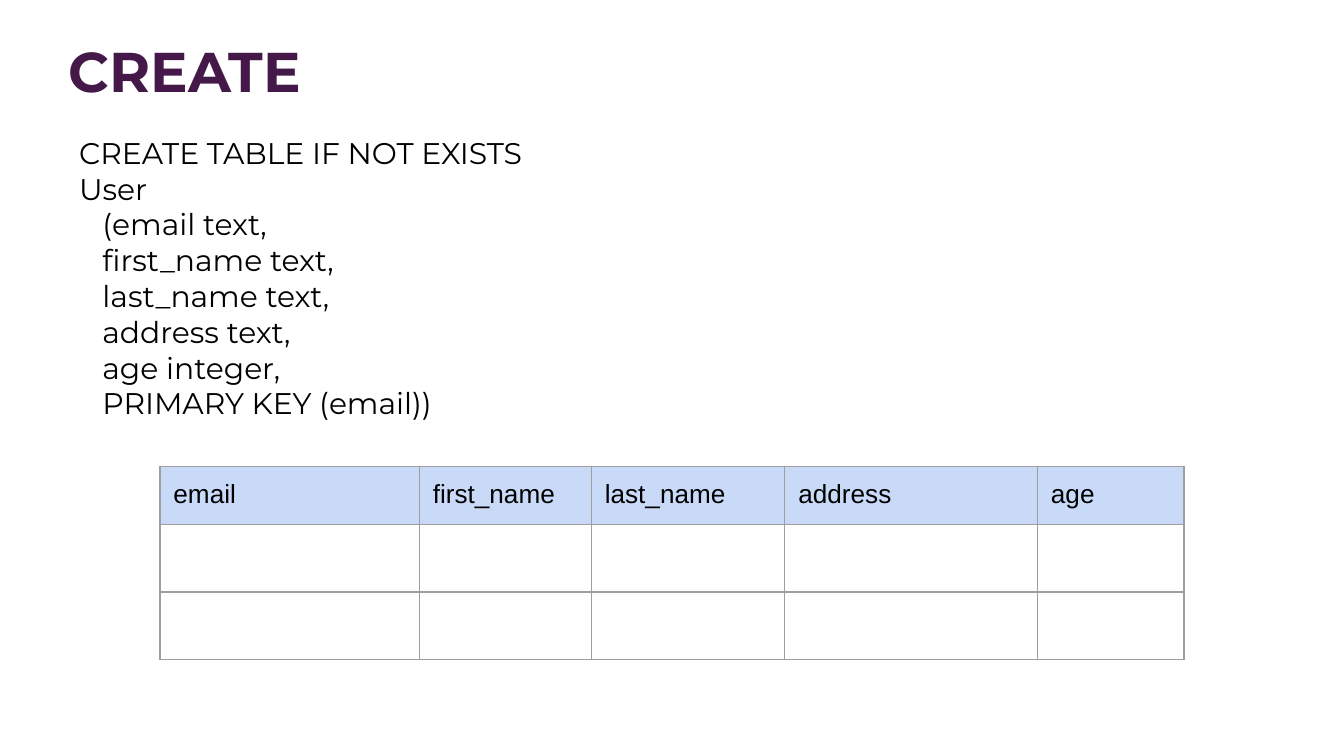
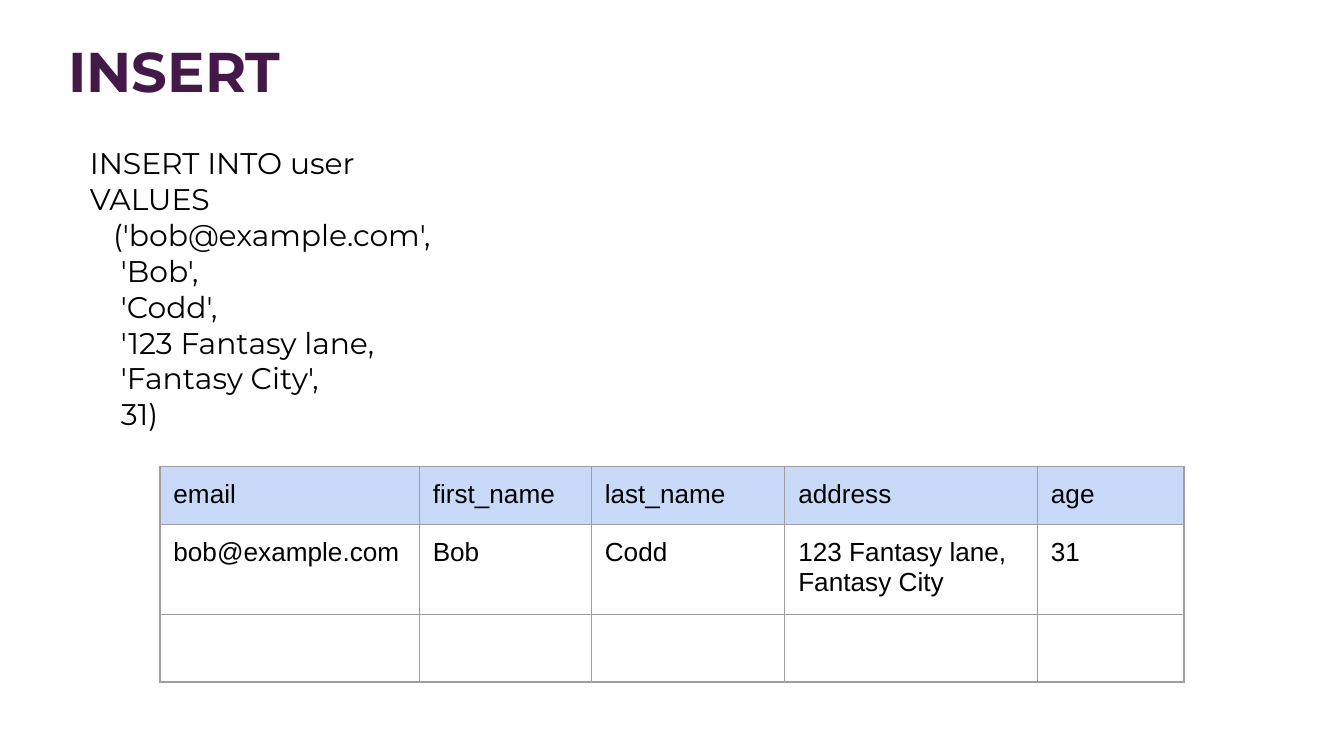
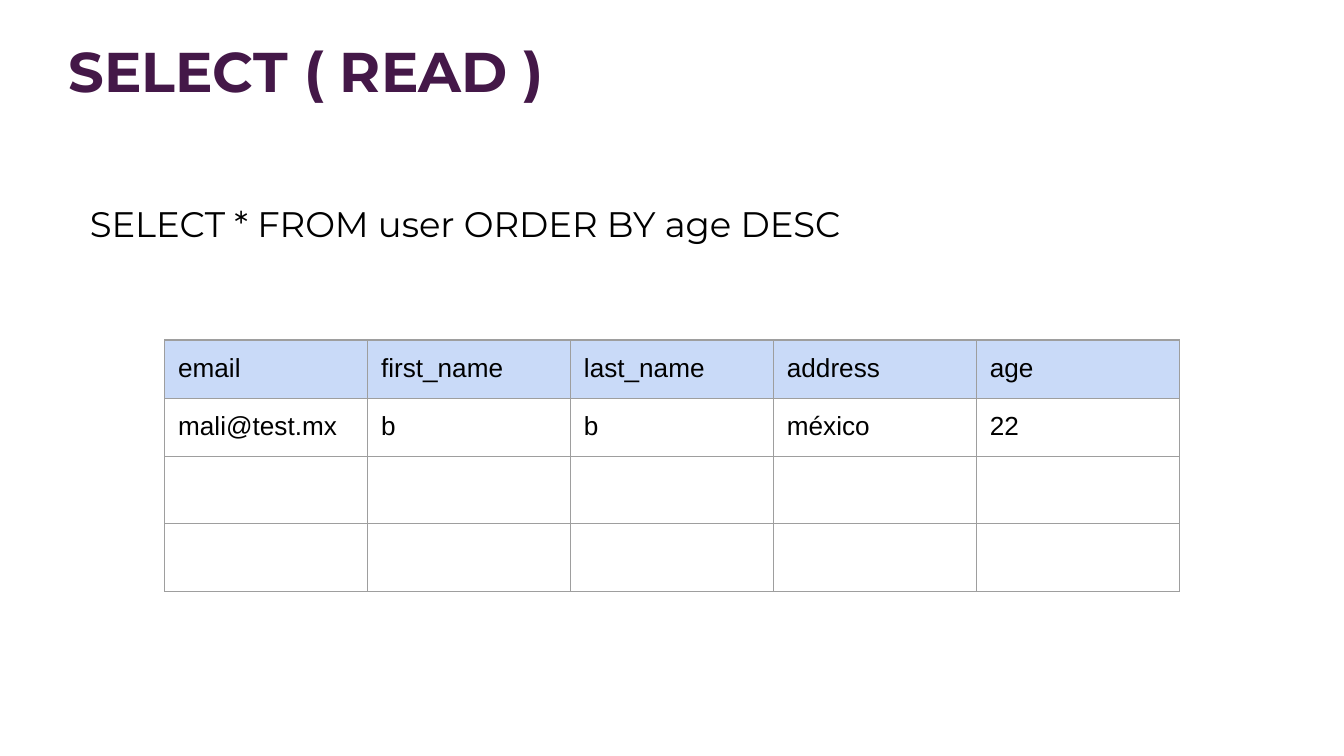
from dataclasses import dataclass

from lxml.etree import SubElement
from pptx import Presentation
from pptx.dml.color import RGBColor
from pptx.enum.text import MSO_ANCHOR, MSO_AUTO_SIZE
from pptx.oxml.ns import qn
from pptx.util import Inches, Pt


@dataclass(frozen=True)
class Theme:
    width: float = 10
    height: float = 10 * 9 / 16
    heading_font: str = "Montserrat"
    table_font: str = "Arial"
    heading_size: int = 30
    table_size: int = 14
    heading_color: str = "441848"
    text_color: str = "000000"
    header_fill: str = "C9DAF8"
    border_color: str = "9E9E9E"
    border_width: float = 0.75
    inset: float = 0.1
    filled_row: float = 0.43
    extra_line: float = 0.24
    empty_row: float = 0.5


THEME = Theme()
HEADING_BOX = (0.41, 0.17, 9.38, 0.59)
FIELDS = ["email", "first_name", "last_name", "address", "age"]
FITTED_COLUMNS = [1.93, 1.28, 1.44, 1.88, 1.09]
EQUAL_COLUMNS = [1.51] * len(FIELDS)
EMPTY = [""] * len(FIELDS)

LESSONS = [
    {
        "heading": "CREATE",
        "statement": [
            "CREATE TABLE IF NOT EXISTS",
            "User",
            "   (email text,",
            "   first_name text,",
            "   last_name text,",
            "   address text,",
            "   age integer,",
            "   PRIMARY KEY (email))",
        ],
        "statement_box": (0.49, 0.9, 4.78, 2.36),
        "statement_size": 16,
        "records": [EMPTY, EMPTY],
        "columns": FITTED_COLUMNS,
        "table_top": 3.47,
    },
    {
        "heading": "INSERT",
        "statement": [
            "INSERT INTO user",
            "VALUES",
            "   ('bob@example.com',",
            "    'Bob',",
            "    'Codd',",
            "    '123 Fantasy lane,",
            "    'Fantasy City',",
            "    31)",
        ],
        "statement_box": (0.57, 0.98, 3.94, 2.36),
        "statement_size": 16,
        "records": [
            ["bob@example.com", "Bob", "Codd", "123 Fantasy lane,\nFantasy City", "31"],
            EMPTY,
        ],
        "columns": FITTED_COLUMNS,
        "table_top": 3.47,
    },
    {
        "heading": "SELECT ( READ )",
        "statement": ["SELECT * FROM user ORDER BY age DESC"],
        "statement_box": (0.57, 1.4, 7.95, 0.52),
        "statement_size": 19,
        "records": [["mali@test.mx", "b", "b", "méxico", "22"], EMPTY, EMPTY],
        "columns": EQUAL_COLUMNS,
        "table_top": 2.53,
    },
]


def write_lines(frame, lines, font, size, color, bold=False):
    for index, line in enumerate(lines):
        paragraph = frame.paragraphs[0] if index == 0 else frame.add_paragraph()
        run = paragraph.add_run()
        run.text = line
        run.font.name = font
        run.font.size = Pt(size)
        run.font.bold = bold
        run.font.color.rgb = RGBColor.from_string(color)


def add_text(slide, box, lines, size, color, bold=False, grow=False):
    frame = slide.shapes.add_textbox(*map(Inches, box)).text_frame
    frame.word_wrap = True
    frame.auto_size = MSO_AUTO_SIZE.SHAPE_TO_FIT_TEXT if grow else MSO_AUTO_SIZE.NONE
    frame.vertical_anchor = MSO_ANCHOR.TOP
    frame.margin_left = frame.margin_right = Inches(THEME.inset)
    frame.margin_top = frame.margin_bottom = Inches(THEME.inset)
    write_lines(frame, lines, THEME.heading_font, size, color, bold)


def draw_borders(cell):
    properties = cell._tc.get_or_add_tcPr()
    for side in ("a:lnL", "a:lnR", "a:lnT", "a:lnB"):
        border = SubElement(properties, qn(side), w=str(Pt(THEME.border_width)))
        fill = SubElement(border, qn("a:solidFill"))
        SubElement(fill, qn("a:srgbClr"), val=THEME.border_color)


def row_height(record):
    if not any(record):
        return THEME.empty_row
    return THEME.filled_row + THEME.extra_line * max(value.count("\n") for value in record)


def add_records(slide, records, columns, top):
    rows = [FIELDS] + records
    heights = [row_height(row) for row in rows]
    width = sum(columns)
    left = (THEME.width - width) / 2
    table = slide.shapes.add_table(
        len(rows), len(columns), *map(Inches, (left, top, width, sum(heights)))
    ).table
    table.first_row = table.horz_banding = False
    for column, column_width in zip(table.columns, columns):
        column.width = Inches(column_width)
    for row_index, (row, height) in enumerate(zip(rows, heights)):
        table.rows[row_index].height = Inches(height)
        for column_index, value in enumerate(row):
            cell = table.cell(row_index, column_index)
            cell.margin_left = cell.margin_right = Inches(THEME.inset)
            cell.margin_top = cell.margin_bottom = Inches(THEME.inset)
            draw_borders(cell)
            if row_index == 0:
                cell.fill.solid()
                cell.fill.fore_color.rgb = RGBColor.from_string(THEME.header_fill)
            else:
                cell.fill.background()
            if value:
                write_lines(cell.text_frame, value.split("\n"), THEME.table_font,
                            THEME.table_size, THEME.text_color)


def main():
    deck = Presentation()
    deck.slide_width = Inches(THEME.width)
    deck.slide_height = Inches(THEME.height)
    for lesson in LESSONS:
        slide = deck.slides.add_slide(deck.slide_layouts[6])
        add_text(slide, HEADING_BOX, [lesson["heading"]], THEME.heading_size,
                 THEME.heading_color, bold=True)
        add_text(slide, lesson["statement_box"], lesson["statement"],
                 lesson["statement_size"], THEME.text_color, grow=True)
        add_records(slide, lesson["records"], lesson["columns"], lesson["table_top"])
    deck.save("out.pptx")


if __name__ == "__main__":
    main()
